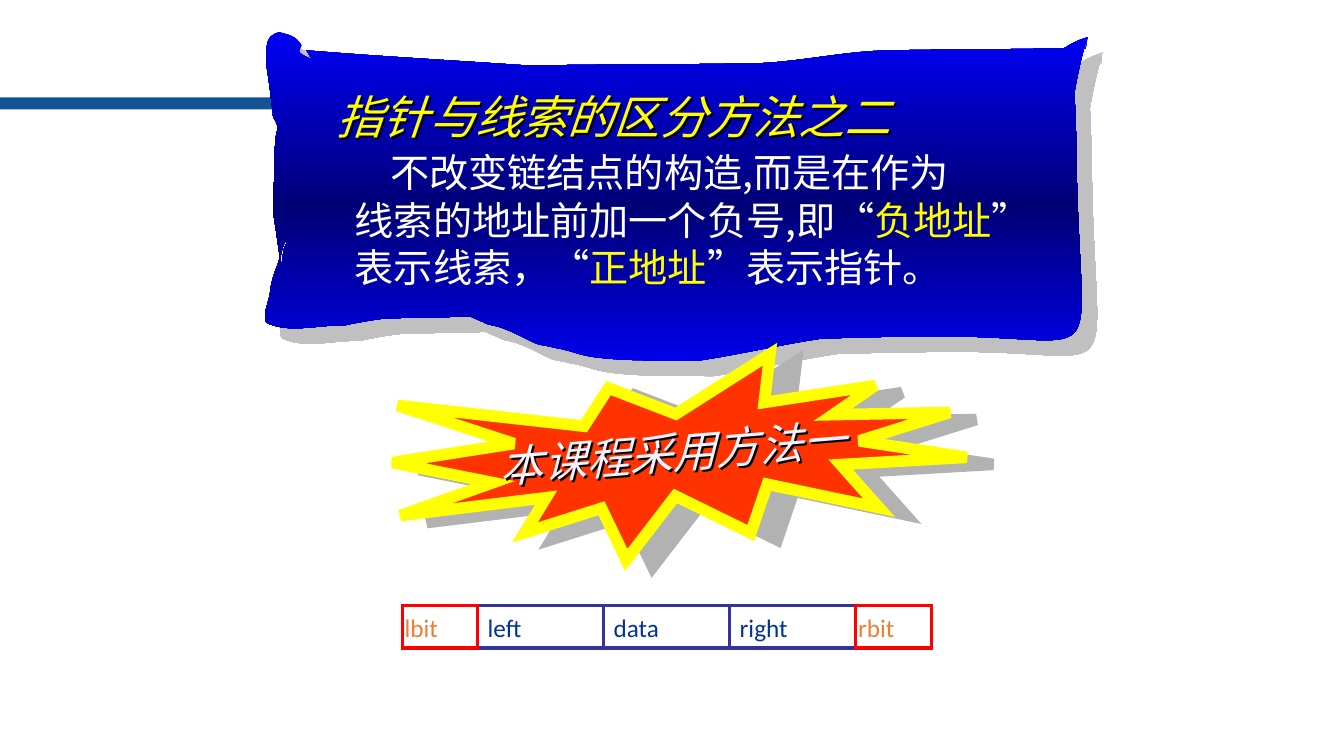
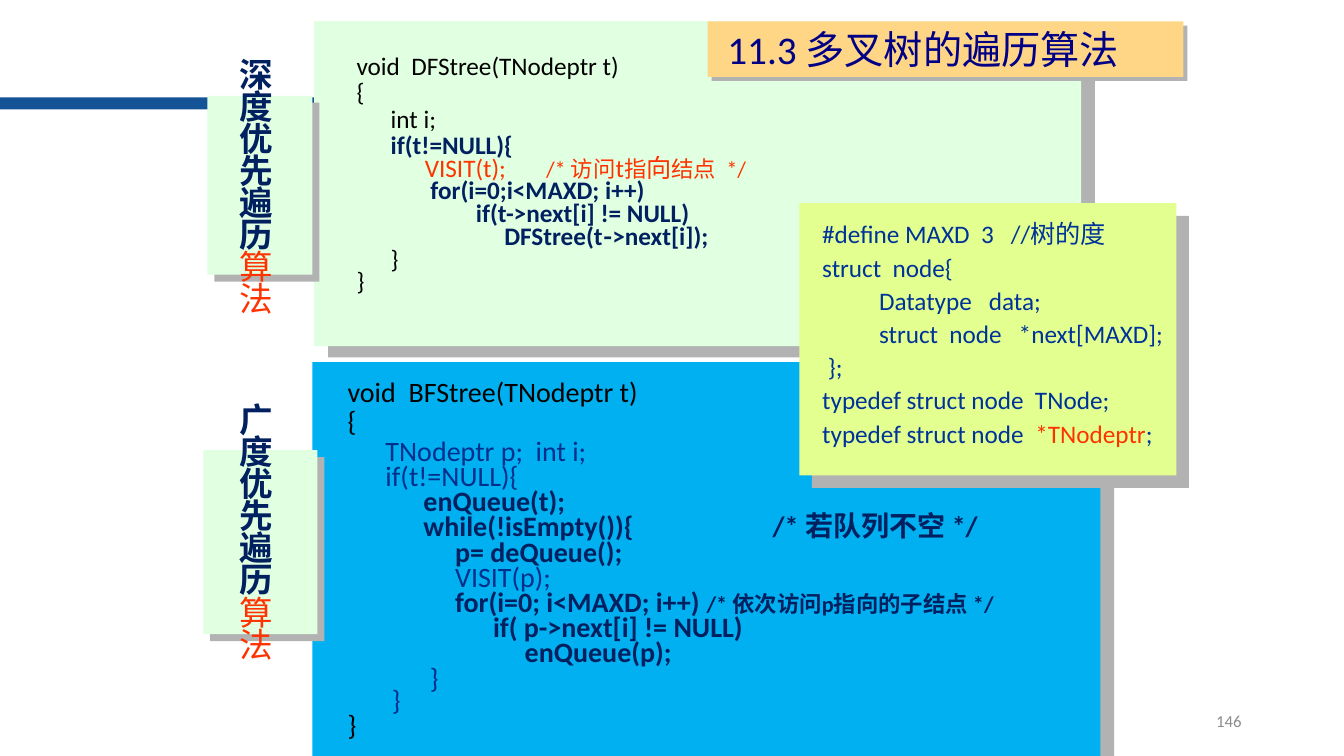
from copy import deepcopy
from dataclasses import dataclass, replace
from typing import NamedTuple, Optional

from lxml.etree import SubElement
from pptx import Presentation
from pptx.dml.color import RGBColor
from pptx.enum.shapes import MSO_CONNECTOR as Connector, MSO_SHAPE as Preset
from pptx.enum.text import MSO_ANCHOR as Anchor, MSO_AUTO_SIZE as AutoSize, PP_ALIGN as Align
from pptx.oxml.ns import qn
from pptx.util import Inches, Pt

CELL = Inches(1) / 12  # the slide is a grid of 160 columns by 90 rows
COLUMNS, ROWS = 160, 90


# Theme
@dataclass(frozen=True)
class Theme:
    latin: str = "Calibri"
    asian: str = "Noto Sans CJK SC"
    band: str = "145396"
    white: str = "FFFFFF"
    black: str = "000000"
    yellow: str = "FFFF00"
    orange_red: str = "FF3300"
    red: str = "FF0000"
    orange: str = "ED7D31"
    navy: str = "002060"
    blue: str = "002F8C"
    field_blue: str = "003399"
    field_line: str = "333399"
    heading_blue: str = "000086"
    mint: str = "E1FFE1"
    sky: str = "00B0F0"
    lime: str = "E2FF8F"
    apricot: str = "FFD685"
    seal_text: str = "F9F3FF"
    grey: str = "8C8C8C"
    shade: str = "B2B2B2"
    scroll_shade: str = "C0C0C0"
    scroll_stops: tuple = ((0, "0000FF"), (0.5, "000076"), (1, "0000FF"))
    heading: float = 28
    code: float = 18
    large_code: float = 20
    comment: float = 16
    label: float = 24
    number: float = 12


T = Theme()


class Box(NamedTuple):
    column: float
    row: float
    columns: float
    rows: float

    def emu(self) -> list[int]:
        return [round(cells * CELL) for cells in self]


class Shadow(NamedTuple):
    distance: float
    angle: float
    color: str = T.shade


TEXT_SHADOW = Shadow(2, 45, T.black)


@dataclass(frozen=True)
class Style:
    size: float
    color: str
    bold: bool = False
    italic: bool = False
    font: str = T.latin
    spacing: float = 1.0
    after: float = 0
    indent: float = 0
    align: Align = Align.LEFT


class Run(NamedTuple):
    text: str
    size: Optional[float] = None
    color: Optional[str] = None
    bold: Optional[bool] = None
    font: Optional[str] = None


class Line(NamedTuple):
    style: Style
    runs: tuple


class Field(NamedTuple):
    name: str
    columns: float
    is_flag: bool = False


def line(style: Style, *parts) -> Line:
    return Line(style, tuple(Run(part) if isinstance(part, str) else part for part in parts))


def rgb(color: str) -> RGBColor:
    return RGBColor.from_string(color)


# Drawing helpers
def add_shadow(shape, shadow: Optional[Shadow]) -> None:
    shape.shadow.inherit = False
    if shadow:
        effects = shape.element.spPr.find(qn("a:effectLst"))
        outer = SubElement(effects, qn("a:outerShdw"), blurRad="0", dist=str(Pt(shadow.distance)),
                           dir=str(round(shadow.angle * 60000)), algn="ctr", rotWithShape="0")
        SubElement(outer, qn("a:srgbClr"), val=shadow.color)


def add_panel(slide, box: Box, fill: Optional[str], shadow: Optional[Shadow] = None,
              preset: Preset = Preset.RECTANGLE, outline: Optional[str] = None, width: float = 0):
    panel = slide.shapes.add_shape(preset, *box.emu())
    add_shadow(panel, shadow)
    if fill:
        panel.fill.solid()
        panel.fill.fore_color.rgb = rgb(fill)
    else:
        panel.fill.background()
    if outline:
        panel.line.color.rgb = rgb(outline)
        panel.line.width = Pt(width)
        SubElement(panel.element.spPr.find(qn("a:ln")), qn("a:miter"), lim="800000")
    else:
        panel.line.fill.background()
    return panel


def write(shape, lines: list[Line], anchor: Anchor = Anchor.TOP) -> None:
    frame = shape.text_frame
    frame.word_wrap, frame.auto_size, frame.vertical_anchor = True, AutoSize.NONE, anchor
    for order, (style, runs) in enumerate(lines):
        paragraph = frame.add_paragraph() if order else frame.paragraphs[0]
        properties = paragraph._p.get_or_add_pPr()
        properties.set("marL", "0")
        properties.set("indent", str(round(style.indent * CELL)))
        SubElement(properties, qn("a:buNone"))
        paragraph.alignment = style.align
        paragraph.line_spacing = Pt(round(style.size * 1.21 * style.spacing, 1))
        paragraph.space_before, paragraph.space_after = Pt(0), Pt(style.after)
        font = paragraph.font
        font.name, font.size = style.font, Pt(style.size)
        font.bold, font.italic = style.bold, style.italic
        font.color.rgb = rgb(style.color)
        for part in runs:
            run = paragraph.add_run()
            run.text = part.text
            if part.size:
                run.font.size = Pt(part.size)
            if part.color:
                run.font.color.rgb = rgb(part.color)
            if part.bold is not None:
                run.font.bold = part.bold
            if part.font:
                run.font.name = part.font


def add_text(slide, box: Box, lines: list[Line], anchor: Anchor = Anchor.TOP):
    text = slide.shapes.add_textbox(*box.emu())
    write(text, lines, anchor)
    return text


def fill_placeholder(slide, index: int, box: Box, lines: list[Line],
                     anchor: Anchor = Anchor.TOP):
    """Place a template placeholder above what is drawn so far."""
    holder = slide.placeholders[index]
    slide.shapes.element.append(holder.element)
    holder.left, holder.top, holder.width, holder.height = box.emu()
    holder.fill.background()
    write(holder, lines, anchor)
    return holder


def set_asian_font(slide) -> None:
    for latin in list(slide.element.iter(qn("a:latin"))):
        latin.addnext(SubElement(latin.getparent(), qn("a:ea"), typeface=T.asian))


def add_master_band(prs, slide) -> None:
    band = add_panel(slide, Box(0, 11.6, 44.64, 1.44), T.band)
    band.element.nvSpPr.cNvPr.set("id", "99")
    prs.slide_master.shapes.element.append(band.element)


# Scroll outline: cubic curves (two controls, then the end), in hundredths of an inch
SCROLL_START = (304, 50)
SCROLL_CURVES = (
    (377, 56, 450, 60, 523, 65), (598, 64, 672, 64, 747, 63), (791, 62, 836, 51, 881, 50),
    (939, 49, 997, 49, 1055, 48), (1073, 40, 1046, 52, 1068, 41), (1072, 39, 1079, 37, 1079, 37),
    (1073, 69, 1083, 21, 1074, 54), (1071, 66, 1068, 80, 1066, 92), (1067, 114, 1068, 137, 1068, 160),
    (1072, 387, 1108, 330, 914, 334), (881, 334, 848, 335, 815, 336), (774, 342, 733, 352, 692, 358),
    (657, 357, 622, 359, 587, 354), (574, 352, 564, 347, 550, 345), (544, 343, 538, 343, 532, 341),
    (521, 336, 509, 329, 497, 325), (492, 323, 487, 323, 482, 321), (479, 319, 475, 318, 471, 316),
    (470, 315, 466, 314, 466, 314), (438, 315, 411, 315, 383, 316), (369, 317, 341, 323, 341, 323),
    (316, 322, 289, 331, 266, 321), (258, 317, 267, 300, 268, 290), (269, 277, 275, 265, 279, 252),
    (279, 251, 282, 239, 284, 239), (286, 239, 283, 244, 282, 246), (278, 267, 283, 248, 279, 263),
    (276, 246, 274, 228, 271, 211), (272, 188, 272, 165, 273, 142), (274, 126, 279, 129, 271, 116),
    (269, 98, 267, 80, 264, 63), (265, 46, 262, 36, 277, 32), (287, 35, 293, 35, 299, 45),
    (298, 48, 296, 51, 297, 52), (300, 55, 310, 60, 308, 57), (307, 54, 305, 52, 304, 50),
)


def add_scroll(slide) -> None:
    builder = slide.shapes.build_freeform(*SCROLL_START, scale=Inches(1) / 100)
    builder.add_line_segments([curve[i:i + 2] for curve in SCROLL_CURVES for i in (0, 2, 4)])
    scroll = builder.convert_to_shape()
    # Each three straight segments become one cubic curve
    segments = list(scroll.element.iter(qn("a:lnTo")))
    for first, second, end in zip(*[iter(segments)] * 3):
        curve = SubElement(first.getparent(), qn("a:cubicBezTo"))
        first.addprevious(curve)
        for segment in (first, second, end):
            curve.append(segment[0])
            segment.getparent().remove(segment)
    add_shadow(scroll, Shadow(15.6, 45, T.scroll_shade))
    scroll.line.fill.background()
    scroll.fill.gradient()
    scroll.fill.gradient_angle = 90
    stops = scroll.element.spPr.find(".//" + qn("a:gsLst"))
    stops.insert(1, deepcopy(stops[0]))
    for stop, (position, color) in zip(scroll.fill.gradient_stops, T.scroll_stops):
        stop.position, stop.color.rgb = position, rgb(color)


# Slide 1: telling pointers from threads
def build_threads(slide) -> None:
    left, right, level = (round(cells * CELL) for cells in (44.16, 79.44, 12.24))
    rule = slide.shapes.add_connector(Connector.STRAIGHT, left, level, right, level)
    rule.line.color.rgb, rule.line.width = rgb(T.band), Pt(2.25)
    SubElement(rule.element.spPr, qn("a:effectLst"))
    add_scroll(slide)
    method = Style(T.heading, T.white, font=T.asian)
    fill_placeholder(slide, 1, Box(41.04, 10.1, 86.4, 25.1), [
        line(replace(method, indent=4.2), "不改变链结点的构造,而是在作为"),
        line(method, "线索的地址前加一个负号,即“", Run("负地址", color=T.yellow), "”"),
        line(method, "表示线索，“", Run("正地址", color=T.yellow), "”表示指针。")], Anchor.BOTTOM)
    title = fill_placeholder(slide, 0, Box(38.88, 9.84, 77.04, 7.8), [
        line(Style(33, T.yellow, italic=True, font=T.asian), "指针与线索的区分方法之二")])

    # Seal with the choice made
    seal = add_panel(slide, Box(46.8, 43.1, 68.2, 23), T.orange_red, Shadow(19.6, 15),
                     Preset.EXPLOSION1, T.yellow, 8.25)
    choice = add_text(slide, Box(58.2, 49.68, 53.04, 7.44), [
        line(Style(31, T.seal_text, italic=True), "本课程采用方法一")])
    seal.rotation = choice.rotation = 355.3
    for shaded in (title, choice):
        add_shadow(shaded, TEXT_SHADOW)

    # Node record: plain fields, then flag names, then flag frames
    fields = (Field("lbit", 9, True), Field("left", 15), Field("data", 15),
              Field("right", 15), Field("rbit", 9, True))
    starts = [47.88 + sum(f.columns for f in fields[:order]) for order in range(len(fields))]
    for start, field in sorted(zip(starts, fields), key=lambda pair: pair[1].is_flag):
        outline, color = (T.red, T.orange) if field.is_flag else (T.field_line, T.field_blue)
        name = [line(Style(T.code, color), field.name)]
        if field.is_flag:
            add_text(slide, Box(start - 0.9, 72.1, 11.04, 5.04), name, Anchor.MIDDLE)
        frame = add_panel(slide, Box(start, 72.1, field.columns, 5.04), None,
                          outline=outline, width=2.25)
        if not field.is_flag:
            write(frame, name, Anchor.MIDDLE)


# Slide 2: traversing a multiway tree
def add_method_label(slide, panel: Box, text_row: float, name: str) -> None:
    add_panel(slide, panel, T.mint, Shadow(7.1, 45))
    label = add_text(slide, Box(27.36, text_row, 6.24, 32.2), [
        line(Style(T.label, T.navy, bold=True, font=T.asian, spacing=0.79),
             name, Run("算法", color=T.orange_red, bold=False))])
    label.text_frame.margin_right = 0


def build_traversal(slide) -> None:
    add_text(slide, Box(113, 83.4, 36, 4.8),
             [line(Style(T.number, T.grey, align=Align.RIGHT), "146")], Anchor.MIDDLE)
    add_panel(slide, Box(37.4, 2.52, 91.3, 38.7), T.mint, Shadow(12.8, 39))
    add_method_label(slide, Box(24.7, 11.4, 12.5, 21.3), 6.8, "深度优先遍历")

    # Breadth first
    add_panel(slide, Box(37.2, 43.1, 93.8, 46.9), T.sky, Shadow(12.8, 39))
    plain = Style(T.large_code, T.black, spacing=0.745)
    head, quiet = replace(plain, after=3), replace(plain, color=T.blue)
    strong = replace(plain, color=T.navy, bold=True)
    add_text(slide, Box(40.2, 45, 90.7, 44.4), [
        line(head, "void  BFStree(TNodeptr t)"),
        line(head, "{"),
        line(quiet, "      TNodeptr p;  int i;"),
        line(quiet, "      if(t!=NULL){"),
        line(strong, "            enQueue(t);"),
        line(strong, "            while(!isEmpty()){                      /* 若队列不空",
             Run(" ", T.code), "*/"),
        line(strong, "                 p= deQueue();"),
        line(quiet, "                 VISIT(p);"),
        line(strong, "                 for(i=0; i<MAXD; i++) ",
             Run("/* 依次访问p指向的子结点 */", T.comment)),
        line(strong, "                       if( p->next[i] != NULL)"),
        line(strong, "                            enQueue(p);"),
        line(quiet, "             }"),
        line(replace(quiet, spacing=0.65), "       }"),
        line(plain, "}")])
    add_method_label(slide, Box(24.2, 53.6, 13.6, 21.9), 47.9, "广度优先遍历")

    # Depth first
    plain, strong = replace(plain, size=T.code), replace(strong, size=T.code)
    head = replace(plain, after=2.7)
    fill_placeholder(slide, 1, Box(41.25, 6.24, 83.2, 30.1), [
        line(head, "void  DFStree(TNodeptr t)"),
        line(head, "{"),
        line(head, "      int i;"),
        line(strong, "      if(t!=NULL){"),
        line(replace(plain, color=T.orange_red), "            VISIT(t);       ",
             Run("/* 访问", T.comment), "t", Run("指", T.comment), "向",
             Run("结点  */", T.comment)),
        line(strong, "             for(i=0;i<MAXD; i++)"),
        line(strong, "                     if(t->next[i] != NULL)"),
        line(strong, "                          DFStree(t", Run("-", font=T.asian), ">next[i]);"),
        line(plain, "      }"),
        line(plain, "}")])

    # Node type
    add_panel(slide, Box(95.16, 24.2, 44.9, 32.4), T.lime, Shadow(12.7, 45))
    node = Style(T.code, T.field_blue, spacing=1.09)
    declarations = ("#define MAXD  3   //树的度", "struct  node{", "          Datatype   data;",
                    "          struct  node   *next[MAXD];", " };", "typedef struct node  TNode;")
    add_text(slide, Box(96.7, 25.1, 44.5, 29.2), [line(node, text) for text in declarations] + [
        line(node, "typedef struct node  ", Run("*TNodeptr", color=T.orange_red), ";")])

    # Heading
    add_panel(slide, Box(84.24, 2.55, 56.64, 6.6), T.apricot, Shadow(4.2, 45))
    fill_placeholder(slide, 0, Box(85.4, 2.35, 56.3, 6.8),
                     [line(Style(T.heading, T.heading_blue), "11.3 多叉树的遍历算法")])


def main() -> None:
    prs = Presentation()
    prs.slide_width, prs.slide_height = round(COLUMNS * CELL), round(ROWS * CELL)
    for order, build in enumerate((build_threads, build_traversal)):
        slide = prs.slides.add_slide(prs.slide_layouts[1])
        if order == 0:
            add_master_band(prs, slide)
        build(slide)
        set_asian_font(slide)
    prs.save("out.pptx")


if __name__ == "__main__":
    main()
